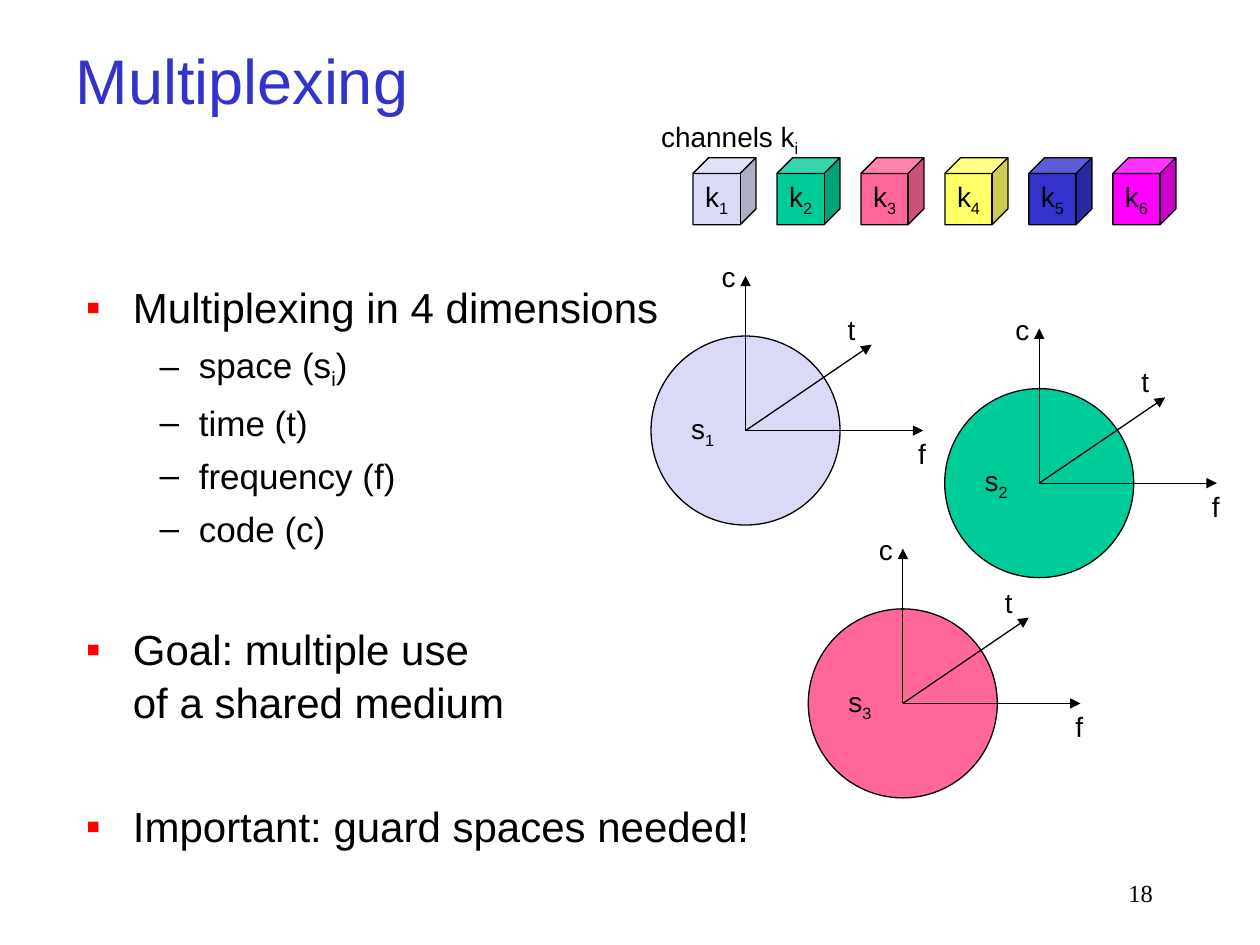
from dataclasses import dataclass

from lxml import etree
from pptx import Presentation
from pptx.dml.color import RGBColor
from pptx.enum.shapes import MSO_CONNECTOR, MSO_SHAPE
from pptx.enum.text import MSO_ANCHOR as ANCHOR, PP_ALIGN as ALIGN
from pptx.oxml.ns import qn
from pptx.util import Cm, Pt


@dataclass(frozen=True)
class Theme:
    font: str = "Arial"
    number_font: str = "Times New Roman"
    black: str = "000000"
    blue: str = "3333CC"
    bullet: str = "FF0000"
    channels: tuple = ("DADAF6", "00CC99", "FF6699", "FFFF66", "3333CC", "FF00FF")
    title: int = 36
    body: int = 24
    sub: int = 20
    label: int = 16
    number: int = 14
    line: float = 0.75


theme = Theme()


def write(p, text, size, color=theme.black, font=theme.font):
    """Fill a paragraph; every second piece between underscores is a subscript."""
    first, *others = text.split("_")
    p.text = first
    for i, piece in enumerate(others):
        r = p.add_run()
        r.text = piece
        if i % 2 == 0:
            r._r.get_or_add_rPr().set("baseline", "-25000")
    for r in p.runs:
        r.font.size = Pt(size)
        r.font.name = font
        r.font.color.rgb = RGBColor.from_string(color)


def add_solid(kind, x, y, w, h, fill, text, align):
    """Add an outlined, filled shape with a label inside."""
    sp = s.shapes.add_shape(kind, Cm(x), Cm(y), Cm(w), Cm(h))
    sp.shadow.inherit = False
    sp.fill.solid()
    sp.fill.fore_color.rgb = RGBColor.from_string(fill)
    sp.line.color.rgb = RGBColor.from_string(theme.black)
    sp.line.width = Pt(theme.line)
    tf = sp.text_frame
    tf.word_wrap = False
    tf.vertical_anchor = ANCHOR.MIDDLE
    tf.paragraphs[0].alignment = align
    write(tf.paragraphs[0], text, theme.label)


prs = Presentation()
prs.slide_width, prs.slide_height = Cm(25.4), Cm(19.05)
s = prs.slides.add_slide(prs.slide_layouts[5])

# Title
title = s.shapes.title
title.left, title.top, title.width, title.height = Cm(1.27), Cm(0), Cm(21.59), Cm(3.18)
title.text_frame.vertical_anchor = ANCHOR.MIDDLE
p = title.text_frame.paragraphs[0]
p.alignment = ALIGN.LEFT
write(p, "Multiplexing", theme.title, theme.blue)

# Bullet list: level, space before, text
items = [
    (0, 0, "Multiplexing in 4 dimensions"),
    (1, 5, "space (s_i_)"),
    (1, 5, "time (t)"),
    (1, 5, "frequency (f)"),
    (1, 5, "code (c)"),
    (0, 41, "Goal: multiple use\vof a shared medium"),
    (0, 41, "Important: guard spaces needed!"),
]
# Per level: margin, indent, bullet, bullet colour, type size
levels = [
    (Cm(0.95), Cm(-0.95), "▪", theme.bullet, theme.body),
    (Cm(2.28), Cm(-0.79), "–", theme.black, theme.sub),
]
tf = s.shapes.add_textbox(Cm(1.48), Cm(5.5), Cm(22.65), Cm(11.43)).text_frame
tf.word_wrap = True
for i, (level, before, text) in enumerate(items):
    margin, indent, bullet, bullet_color, size = levels[level]
    p = tf.add_paragraph() if i else tf.paragraphs[0]
    p.level = level
    p.line_spacing = 1.05
    p.space_before = Pt(before)
    pPr = p._p.get_or_add_pPr()
    pPr.set("marL", str(margin))
    pPr.set("indent", str(indent))
    color = etree.SubElement(pPr, qn("a:buClr"))
    etree.SubElement(color, qn("a:srgbClr"), val=bullet_color)
    etree.SubElement(pPr, qn("a:buFont"), typeface=theme.font)
    etree.SubElement(pPr, qn("a:buChar"), char=bullet)
    write(p, text, size)

# Channel cubes
for i, fill in enumerate(theme.channels):
    add_solid(MSO_SHAPE.CUBE, 13.97 + 1.693 * i, 3.18, 1.27, 1.35,
              fill, f"k_{i + 1}", ALIGN.CENTER)

# Spaces, each a circle with three axes starting at its centre
diameter = 3.81
centres = [(15.03, 8.68), (20.95, 9.74), (18.2, 14.18)]
# Axis name, arrow tip, label corner and label width, relative to the centre
axes = [
    ("t", (2.54, -1.73), (1.81, -2.51), 0.66),
    ("c", (0, -3.12), (-0.73, -3.57), 0.79),
    ("f", (3.58, 0), (3.23, 0), 0.66),
]
labels = [("channels k_i", 13.08, 2.29, 3.28, 1.04)]
for i, (x, y) in enumerate(centres):
    add_solid(MSO_SHAPE.OVAL, x - diameter / 2, y - diameter / 2, diameter, diameter,
              theme.channels[i], f"s_{i + 1}", ALIGN.LEFT)
    for name, (tip_x, tip_y), (label_x, label_y), width in axes:
        axis = s.shapes.add_connector(MSO_CONNECTOR.STRAIGHT, Cm(x), Cm(y),
                                      Cm(x + tip_x), Cm(y + tip_y))
        axis.line.color.rgb = RGBColor.from_string(theme.black)
        axis.line.width = Pt(theme.line)
        etree.SubElement(axis.line._get_or_add_ln(), qn("a:tailEnd"), type="triangle")
        etree.SubElement(axis._element.spPr, qn("a:effectLst"))
        labels.append((name, x + label_x, y + label_y, width, 0.94))

for text, x, y, w, h in labels:
    tf = s.shapes.add_textbox(Cm(x), Cm(y), Cm(w), Cm(h)).text_frame
    tf.word_wrap = False
    write(tf.paragraphs[0], text, theme.label)

# Slide number
tf = s.shapes.add_textbox(Cm(18.21), Cm(17.58), Cm(5.28), Cm(1.27)).text_frame
tf.word_wrap = True
tf.paragraphs[0].alignment = ALIGN.RIGHT
write(tf.paragraphs[0], "18", theme.number, font=theme.number_font)

prs.save("out.pptx")
